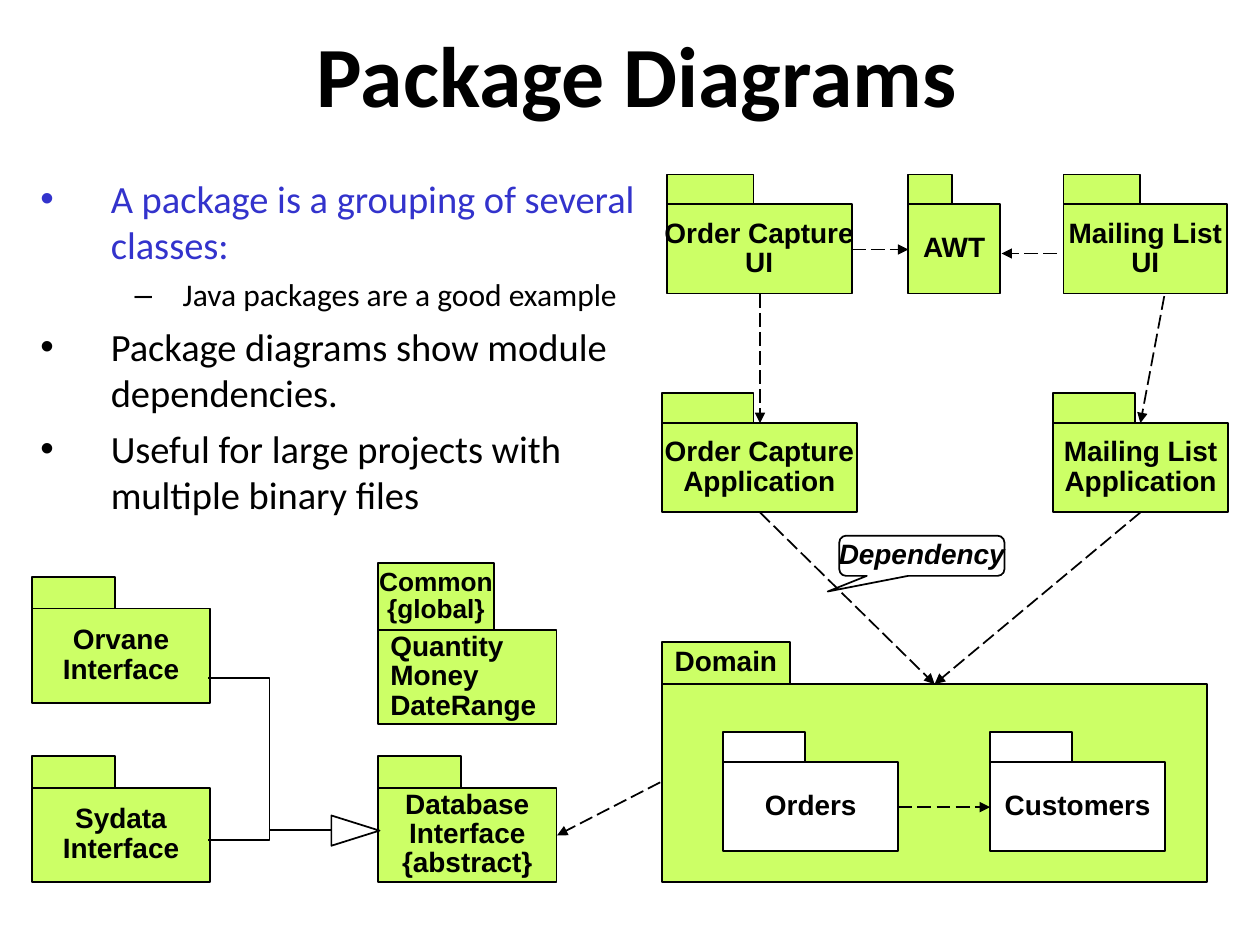
import pptx
import pptx.dml.color
import pptx.enum.dml
import pptx.enum.shapes
import pptx.enum.text
import pptx.oxml
import pptx.oxml.ns
import pptx.util

Cm = pptx.util.Cm
Pt = pptx.util.Pt
SHAPE = pptx.enum.shapes.MSO_SHAPE
LINK = pptx.enum.shapes.MSO_CONNECTOR
ALIGN = pptx.enum.text.PP_ALIGN
ANCHOR = pptx.enum.text.MSO_ANCHOR

COLORS = {"black": "000000", "blue": "3333CC", "lime": "CCFF66", "white": "FFFFFF"}
RGB = {name: pptx.dml.color.RGBColor.from_string(code) for name, code in COLORS.items()}

deck = pptx.Presentation()
deck.slide_width, deck.slide_height = Cm(25.4), Cm(19.05)
page = deck.slides.add_slide(deck.slide_layouts[1])


def add_box(kind, bounds, fill, text="", align=ALIGN.CENTER, size=16, italic=False):
    """Add an outlined shape with bold Arial text, one paragraph per line."""
    box = page.shapes.add_shape(kind, *[Cm(length) for length in bounds])
    box.shadow.inherit = False
    box.fill.solid()
    box.fill.fore_color.rgb = RGB[fill]
    box.line.color.rgb = RGB["black"]
    box.line.width = Pt(1)
    if text:
        frame = box.text_frame
        frame.text = text
        frame_format = {"word_wrap": False, "vertical_anchor": ANCHOR.MIDDLE,
                        "margin_left": Cm(0.25), "margin_right": Cm(0.25),
                        "margin_top": Cm(0.14), "margin_bottom": Cm(0.14)}
        for name, value in frame_format.items():
            setattr(frame, name, value)
        font_format = {"name": "Arial", "size": Pt(size), "bold": True, "italic": italic}
        for para in frame.paragraphs:
            para.alignment = align
            para.line_spacing = 0.87
            for span in para.runs:
                span.font.color.rgb = RGB["black"]
                for name, value in font_format.items():
                    setattr(span.font, name, value)
    return box


def add_link(kind, start, end):
    """Add a thin black connector without a shadow."""
    link = page.shapes.add_connector(kind, *[Cm(length) for length in start + end])
    link.line.color.rgb = RGB["black"]
    link.line.width = Pt(1)
    properties = link._element.spPr
    properties.append(pptx.oxml.parse_xml(
        f"<a:effectLst {pptx.oxml.ns.nsdecls('a')}/>"))
    return link


# Title
title = page.shapes.title
title_box = {"left": Cm(1.75), "top": Cm(0), "width": Cm(22.17), "height": Cm(3.18)}
for name, value in title_box.items():
    setattr(title, name, value)
title.text_frame.text = "Package Diagrams"
title.text_frame.vertical_anchor = ANCHOR.MIDDLE
title.text_frame.auto_size = pptx.enum.text.MSO_AUTO_SIZE.NONE
para = title.text_frame.paragraphs[0]
para.alignment = ALIGN.CENTER
para.line_spacing = 0.94
for name, value in {"name": "Calibri", "size": Pt(49), "bold": True}.items():
    setattr(para.font, name, value)
para.font.color.rgb = RGB["black"]

# Bullet list: text, level, colour
points = [
    ("A package is a grouping of several classes:", 0, "blue"),
    ("Java packages are a good example", 1, "black"),
    ("Package diagrams show module dependencies.", 0, "black"),
    ("Useful for large projects with multiple binary files", 0, "black"),
]
# Per level: size, space before, left margin, first-line indent
levels = [(22, 5.5, 1.42, -1.42), (18, 4.5, 2.87, -0.97)]
body = page.placeholders[1]
body_box = {"left": Cm(0.56), "top": Cm(3.4), "width": Cm(12.67), "height": Cm(7.62)}
for name, value in body_box.items():
    setattr(body, name, value)
body.text_frame.text = "\n".join(text for text, level, color in points)
body.text_frame.auto_size = pptx.enum.text.MSO_AUTO_SIZE.NONE
for para, (text, level, color) in zip(body.text_frame.paragraphs, points):
    size, space, margin, indent = levels[level]
    para.level = level
    para.space_before = Pt(space)
    properties = para._p.get_or_add_pPr()
    properties.set("marL", str(Cm(margin)))
    properties.set("indent", str(Cm(indent)))
    span = para.runs[0]
    span.font.name = "Calibri"
    span.font.size = Pt(size)
    span.font.color.rgb = RGB[color]

# Packages: left, top, tab size, body size, fill, tab text, body text
packages = [
    (7.62, 15.24, (1.68, 0.64), (3.6, 1.9), "lime", "", "Database\nInterface\n{abstract}"),
    (0.64, 11.63, (1.68, 0.64), (3.6, 1.9), "lime", "", "Orvane\nInterface"),
    (0.64, 15.24, (1.68, 0.64), (3.6, 1.9), "lime", "", "Sydata\nInterface"),
    (7.62, 11.35, (2.34, 1.35), (3.6, 1.9), "lime", "Common\n{global}",
     "Quantity\nMoney\nDateRange"),
    (13.34, 12.95, (2.59, 0.84), (11, 3.99), "lime", "Domain", ""),
    (14.58, 14.76, (1.65, 0.6), (3.53, 1.8), "white", "", "Orders"),
    (19.96, 14.76, (1.65, 0.6), (3.53, 1.8), "white", "", "Customers"),
    (13.34, 7.93, (1.85, 0.6), (3.94, 1.8), "lime", "", "Order Capture\nApplication"),
    (13.44, 3.52, (1.75, 0.6), (3.73, 1.8), "lime", "", "Order Capture\nUI"),
    (18.31, 3.52, (0.89, 0.6), (1.85, 1.8), "lime", "", "AWT"),
    (21.44, 3.52, (1.55, 0.6), (3.3, 1.8), "lime", "", "Mailing List\nUI"),
    (21.23, 7.93, (1.65, 0.6), (3.53, 1.8), "lime", "", "Mailing List\nApplication"),
]
for left, top, tab, main, fill, tab_text, main_text in packages:
    is_global = "{global}" in tab_text
    add_box(SHAPE.RECTANGLE, (left, top, *tab), fill, tab_text, size=15 if is_global else 16)
    add_box(SHAPE.RECTANGLE, (left, top + tab[1], *main), fill, main_text,
            align=ALIGN.LEFT if is_global else ALIGN.CENTER)

# Generalisation from both interfaces to the database interface
triangle = add_box(SHAPE.ISOSCELES_TRIANGLE, (6.86, 16.26, 0.61, 0.97), "white")
triangle.rotation = 90
for end in [(4.19, 16.94), (4.19, 13.67)]:
    add_link(LINK.ELBOW, (6.68, 16.74), end)

# Dependency arrows
dependencies = [
    ((13.31, 15.77), (11.23, 16.84)),
    ((18.11, 16.27), (19.96, 16.27)),
    ((15.32, 10.33), (18.84, 13.79)),
    ((15.32, 5.92), (15.32, 8.53)),
    ((17.17, 5.03), (18.31, 5.03)),
    ((21.31, 5.11), (20.19, 5.11)),
    ((23.47, 5.97), (22.99, 8.53)),
    ((22.99, 10.33), (18.84, 13.79)),
]
for start, end in dependencies:
    arrow = add_link(LINK.STRAIGHT, start, end)
    arrow.line.dash_style = pptx.enum.dml.MSO_LINE.LONG_DASH
    arrow.line._get_or_add_ln().append(pptx.oxml.parse_xml(
        f"<a:tailEnd {pptx.oxml.ns.nsdecls('a')} type='triangle'/>"))

# Callout naming the dependency arrow
callout = add_box(SHAPE.ROUNDED_RECTANGULAR_CALLOUT, (16.92, 10.8, 3.33, 0.81), "white",
                  "Dependency", italic=True)
for index, value in enumerate([-0.57, 0.89, 0.17]):
    callout.adjustments[index] = value

deck.save("out.pptx")
